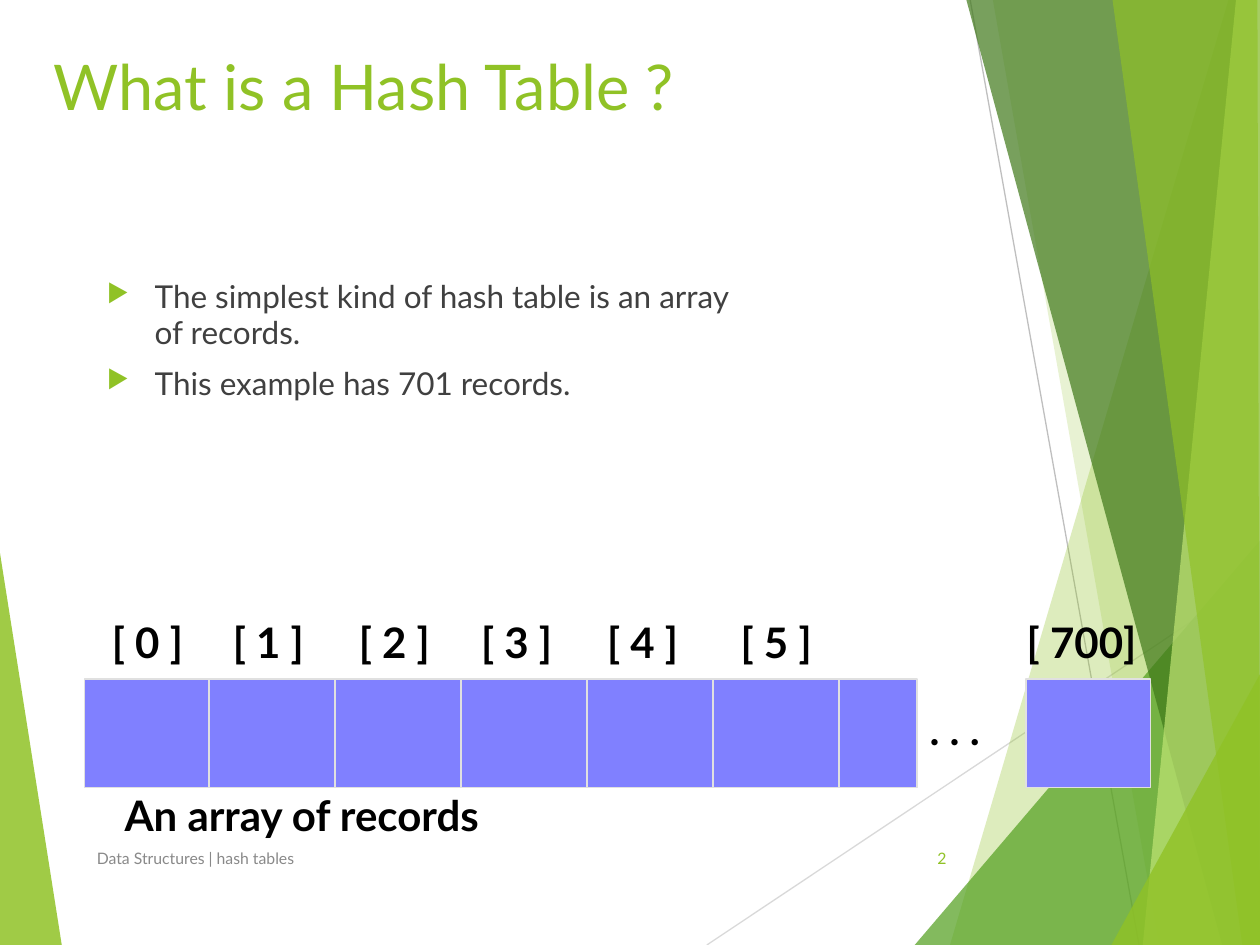
from lxml.etree import SubElement
from pptx import Presentation
from pptx.dml.color import RGBColor
from pptx.enum.shapes import MSO_CONNECTOR, MSO_SHAPE
from pptx.enum.text import MSO_ANCHOR, PP_ALIGN
from pptx.oxml.ns import qn
from pptx.util import Inches, Pt

FONT = "Lato"
LIME = RGBColor(0x90, 0xC2, 0x26)
GREEN = RGBColor(0x54, 0xA0, 0x21)
FOREST = RGBColor(0x3F, 0x78, 0x19)
PALE = RGBColor(0xC0, 0xE4, 0x74)
VIOLET = RGBColor(0x80, 0x80, 0xFF)
EDGE = RGBColor(0xE0, 0xE0, 0xE0)
LIGHT_GRAY = RGBColor(0xD9, 0xD9, 0xD9)
MID_GRAY = RGBColor(0xBF, 0xBF, 0xBF)
FOOTER_GRAY = RGBColor(0x89, 0x89, 0x89)
DARK_GRAY = RGBColor(0x40, 0x40, 0x40)
BLACK = RGBColor(0, 0, 0)

LEFT_FACET = ([(0, 4.39), (0.49, 7.5), (0, 7.5)], LIME, 85)
RIGHT_FACETS = [
    ([(9.75, 0), (7.54, 7.5), (10, 7.5), (10, 0)], LIME, 30),
    ([(7.88, 0), (9.2, 7.5), (10, 7.5), (10, 0)], LIME, 20),
    ([(7.26, 7.5), (10, 4.29), (10, 7.5)], GREEN, 72),
    ([(7.67, 0), (9.7, 7.5), (10, 7.5), (10, 0)], FOREST, 70),
    ([(9.81, 0), (9.07, 7.5), (10, 7.5), (10, 0)], PALE, 70),
    ([(8.83, 0), (9.86, 7.5), (10, 7.5), (9.98, 0)], LIME, 65),
    ([(8.82, 7.5), (10, 5.35), (10, 7.5)], LIME, 80),
]
ROW_TOP, ROW_HEIGHT = 5.39, 0.86
INDEX_LEFTS = [0.78, 1.74, 2.74, 3.71, 4.71, 5.77]
BULLETS = [
    ("The simplest kind of hash table is an array of records.", 0.95),
    ("This example has 701 records.", 1.0),
]


def add_facet(s, points, color, alpha):
    """Draw a translucent polygon of the background."""
    pts = [(Inches(x), Inches(y)) for x, y in points]
    fb = s.shapes.build_freeform(*pts[0])
    fb.add_line_segments(pts[1:])
    sp = fb.convert_to_shape()
    sp.shadow.inherit = False
    sp.fill.solid()
    sp.fill.fore_color.rgb = color
    sp.line.fill.background()
    clr = sp.fill._xPr.find(qn("a:solidFill"))[0]
    SubElement(clr, qn("a:alpha"), val=str(alpha * 1000))


def add_line(s, start, end, color, width):
    """Draw a straight line without a shadow."""
    x1, y1, x2, y2 = (Inches(v) for v in (*start, *end))
    ln = s.shapes.add_connector(MSO_CONNECTOR.STRAIGHT, x1, y1, x2, y2)
    ln.line.color.rgb = color
    ln.line.width = Pt(width)
    SubElement(ln._element.spPr, qn("a:effectLst"))


def add_block(s, left, width):
    """Draw a filled block of the record array."""
    sp = s.shapes.add_shape(MSO_SHAPE.ROUNDED_RECTANGLE, Inches(left),
                            Inches(ROW_TOP), Inches(width), Inches(ROW_HEIGHT))
    sp.adjustments[0] = 0
    sp.shadow.inherit = False
    sp.fill.solid()
    sp.fill.fore_color.rgb = VIOLET
    sp.line.color.rgb = EDGE
    sp.line.width = Pt(1)


def add_box(s, left, top, width, height, wrap=True, anchor=MSO_ANCHOR.TOP):
    """Add an empty text box and return its text frame."""
    box = s.shapes.add_textbox(Inches(left), Inches(top),
                               Inches(width), Inches(height))
    tf = box.text_frame
    tf.word_wrap = wrap
    tf.vertical_anchor = anchor
    return tf


def write(p, text, size, color, bold=False, spacing=1.0, align=PP_ALIGN.LEFT):
    """Write one styled run into a paragraph."""
    p.alignment = align
    p.line_spacing = spacing
    r = p.add_run()
    r.text = text
    r.font.name = FONT
    r.font.size = Pt(size)
    r.font.bold = bold
    r.font.color.rgb = color


def add_label(s, text, left, top, width, align=PP_ALIGN.LEFT):
    """Add a bold caption of the array diagram."""
    tf = add_box(s, left, top, width, 0.47, wrap=False)
    write(tf.paragraphs[0], text, 24, BLACK, True, 0.93, align)


def add_footer(s, text, left, width, color, align=PP_ALIGN.LEFT):
    """Add a small text at the foot of the slide."""
    tf = add_box(s, left, 6.61, width, 0.4, anchor=MSO_ANCHOR.MIDDLE)
    write(tf.paragraphs[0], text, 9, color, align=align)


def set_bullet(p):
    """Give a paragraph a hanging green triangle bullet."""
    pPr = p._p.get_or_add_pPr()
    pPr.set("marL", str(Inches(0.38)))
    pPr.set("indent", str(-Inches(0.38)))
    clr = SubElement(pPr, qn("a:buClr"))
    SubElement(clr, qn("a:srgbClr"), val=str(LIME))
    SubElement(pPr, qn("a:buSzPct"), val="80000")
    SubElement(pPr, qn("a:buChar"), char="▶")


def add_bullets(s):
    """Add the bulleted statements."""
    tf = add_box(s, 0.75, 2.17, 5.2, 4.5)
    for i, (text, spacing) in enumerate(BULLETS):
        p = tf.add_paragraph() if i else tf.paragraphs[0]
        write(p, text, 18, DARK_GRAY, spacing=spacing)
        p.space_before = Pt(7)
        set_bullet(p)


def add_background(s):
    """Draw the facets and thin lines behind the content."""
    add_facet(s, *LEFT_FACET)
    add_line(s, (5.61, 7.5), (10, 4.57), LIGHT_GRAY, 0.75)
    add_line(s, (7.7, 0), (9.04, 7.5), MID_GRAY, 0.75)
    for facet in RIGHT_FACETS:
        add_facet(s, *facet)


def add_array(s):
    """Draw the array of records with its captions."""
    add_block(s, 0.67, 6.61)
    for i, left in enumerate(INDEX_LEFTS):
        x = 1.66 + i
        add_line(s, (x, ROW_TOP), (x, ROW_TOP + ROW_HEIGHT), EDGE, 1)
        add_label(s, f"[ {i} ]", left, 4.88, 0.78, PP_ALIGN.CENTER)
    add_label(s, "An array of records", 0.89, 6.25, 3.39)
    add_block(s, 8.14, 0.99)
    add_label(s, ". . .", 7.28, 5.57, 0.66)
    add_label(s, "[ 700]", 8.05, 4.88, 1.08)


def main():
    """Build the slide and save it."""
    prs = Presentation()
    prs.slide_width, prs.slide_height = Inches(10), Inches(7.5)
    s = prs.slides.add_slide(prs.slide_layouts[6])
    add_background(s)
    title = add_box(s, 0.33, 0.37, 8.5, 1.25)
    write(title.paragraphs[0], "What is a Hash Table ?", 36, LIME, spacing=0.95)
    add_bullets(s)
    add_footer(s, "Data Structures | hash tables", 0.67, 5.06, FOOTER_GRAY)
    add_footer(s, "2", 7.05, 0.56, LIME, PP_ALIGN.RIGHT)
    add_array(s)
    prs.save("out.pptx")


if __name__ == "__main__":
    main()
